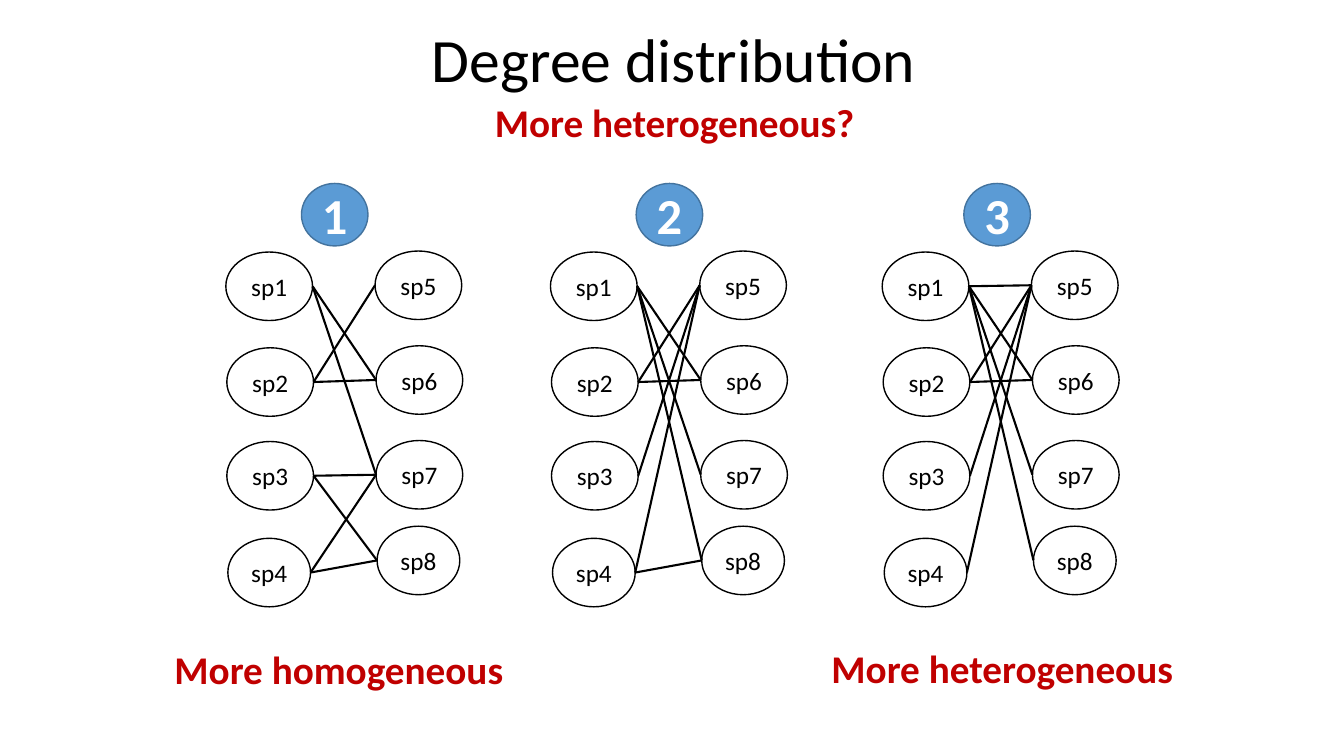
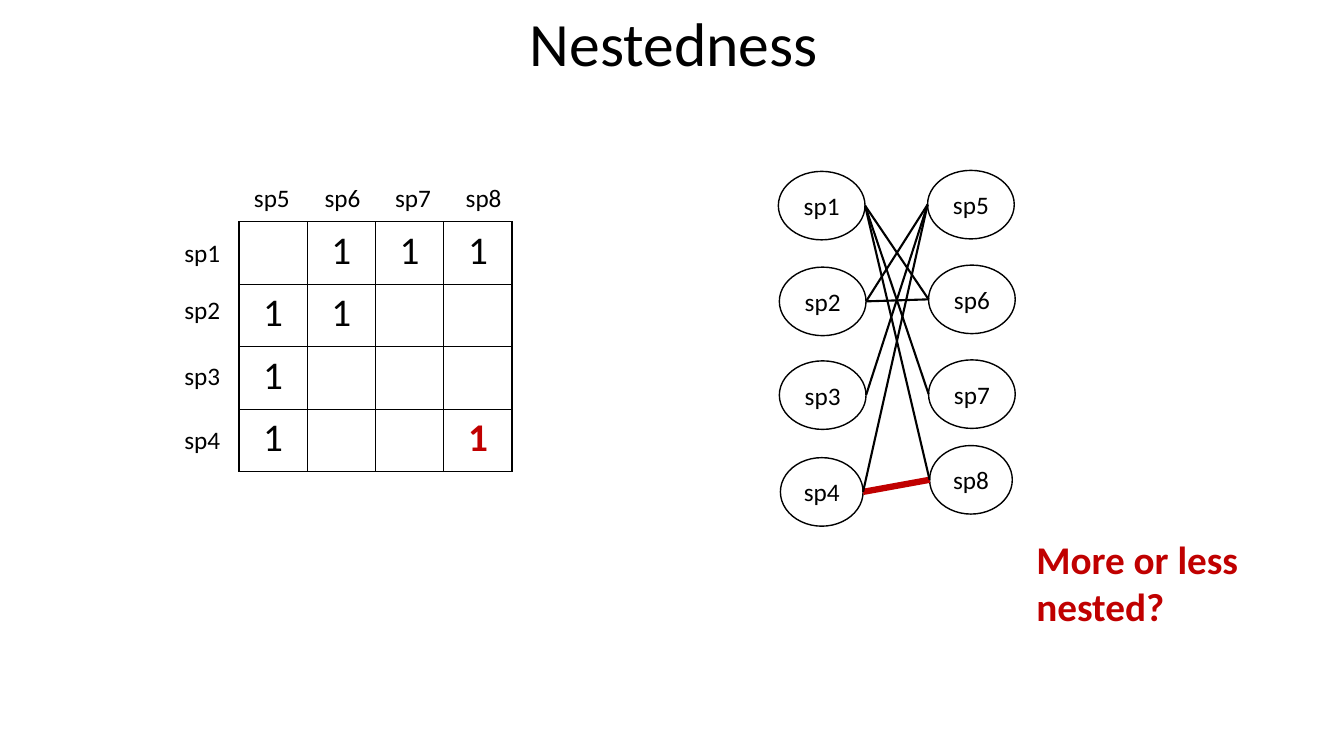
import pptx
import pptx.dml.color
import pptx.enum.shapes
import pptx.enum.text
import pptx.oxml
import pptx.oxml.ns
import pptx.oxml.xmlchemy
import pptx.util
from pptx.util import Inches

FONT = "Calibri"
BLACK, WHITE, RED = "000000", "FFFFFF", "C00000"
BLUE, DARK_BLUE = "5B9BD5", "43739E"
CENTER = pptx.enum.text.PP_ALIGN.CENTER
LEFT = pptx.enum.text.PP_ALIGN.LEFT
MIDDLE = pptx.enum.text.MSO_ANCHOR.MIDDLE
TOP = pptx.enum.text.MSO_ANCHOR.TOP

NODE_HEIGHT = 0.68
NODES = {
    1: (0, 0.01, 0.86),
    2: (0.01, 0.96, 0.86),
    3: (0.01, 1.89, 0.86),
    4: (0.02, 2.85, 0.82),
    5: (1.48, 0, 0.86),
    6: (1.49, 0.94, 0.86),
    7: (1.49, 1.88, 0.86),
    8: (1.5, 2.73, 0.82),
}
HOMOGENEOUS = [(4, 8), (3, 8), (2, 5), (1, 6), (3, 7), (4, 7), (1, 7), (2, 6)]
NESTED = [(1, 8), (2, 5), (1, 6), (3, 5), (4, 5), (1, 7), (2, 6)]
EXTRA_LINK = (4, 8)


def color(hex_string):
    """Turn a hex string into a colour."""
    return pptx.dml.color.RGBColor.from_string(hex_string)


def write(text_frame, text, size, ink=BLACK, bold=False, align=CENTER):
    """Put one formatted paragraph into a text frame and return it."""
    text_frame.text = text
    paragraph = text_frame.paragraphs[0]
    paragraph.alignment = align
    font = paragraph.runs[0].font
    font.name, font.size, font.bold = FONT, pptx.util.Pt(size), bold
    font.color.rgb = color(ink)
    return paragraph


def add_text(slide, box, text, size, ink=BLACK, bold=False, align=CENTER, anchor=TOP):
    """Add a wrapped text box and return its paragraph."""
    text_frame = slide.shapes.add_textbox(*map(Inches, box)).text_frame
    text_frame.word_wrap = True
    text_frame.vertical_anchor = anchor
    return write(text_frame, text, size, ink, bold, align)


def add_title(slide, text, top):
    """Add the slide title."""
    paragraph = add_text(slide, (4.1, top, 5.17, 0.93), text, 44, anchor=MIDDLE)
    paragraph.line_spacing = 0.9


def add_callout(slide, box, text, align=CENTER):
    """Add a bold red remark."""
    add_text(slide, box, text, 28, RED, True, align)


def add_ellipse(shapes, box, text, size, fill, outline, ink, bold=False):
    """Add an ellipse with centred text."""
    shape = shapes.add_shape(pptx.enum.shapes.MSO_SHAPE.OVAL, *map(Inches, box))
    shape.shadow.inherit = False
    shape.fill.solid()
    shape.fill.fore_color.rgb = color(fill)
    shape.line.color.rgb = color(outline)
    shape.line.width = pptx.util.Pt(1)
    text_frame = shape.text_frame
    text_frame.margin_left = text_frame.margin_right = 0
    text_frame.margin_top = text_frame.margin_bottom = 0
    text_frame.vertical_anchor = MIDDLE
    write(text_frame, text, size, ink, bold)


def add_link(shapes, start, end, ink, width):
    """Add a straight line between two points."""
    connector = shapes.add_connector(
        pptx.enum.shapes.MSO_CONNECTOR.STRAIGHT, *map(Inches, start + end))
    connector.line.color.rgb = color(ink)
    connector.line.width = pptx.util.Pt(width)
    connector._element.spPr.append(
        pptx.oxml.xmlchemy.OxmlElement("a:effectLst"))


def add_network(slide, left, top, links, highlighted=None):
    """Add a grouped two-column species network at the given corner."""
    shapes = slide.shapes.add_group_shape().shapes
    for number, (x, y, width) in NODES.items():
        add_ellipse(shapes, (left + x, top + y, width, NODE_HEIGHT),
                    f"sp{number}", 18, WHITE, BLACK, BLACK)
    for link in links:
        (x1, y1, width), (x2, y2, _) = (NODES[number] for number in link)
        start = (left + x1 + width, top + y1 + NODE_HEIGHT / 2)
        end = (left + x2, top + y2 + NODE_HEIGHT / 2)
        ink, weight = (RED, 4.5) if link == highlighted else (BLACK, 1.5)
        add_link(shapes, start, end, ink, weight)


def add_borders(cell):
    """Draw a thin black line on every side of a table cell."""
    properties = cell._tc.get_or_add_tcPr()
    for side in ("lnL", "lnR", "lnT", "lnB"):
        properties.append(pptx.oxml.parse_xml(
            f'<a:{side} {pptx.oxml.ns.nsdecls("a")} w="12700"><a:solidFill>'
            f'<a:srgbClr val="{BLACK}"/></a:solidFill></a:{side}>'))


def add_matrix(slide, left, top, links, highlighted):
    """Add the interaction matrix of a network with its row and column labels."""
    width, height = 2.71, 2.48
    table = slide.shapes.add_table(
        4, 4, *map(Inches, (left, top, width, height))).table
    table.first_row = table.horz_banding = False
    for row in range(4):
        table.rows[row].height = Inches(height / 4)
        table.columns[row].width = Inches(width / 4)
        for column in range(4):
            cell = table.cell(row, column)
            add_borders(cell)
            cell.fill.background()
            link = (row + 1, column + 5)
            if link in links:
                marked = link == highlighted
                write(cell.text_frame, "1", 28, RED if marked else BLACK, marked)
    for row, offset in enumerate((0.11, 0.67, 1.33, 1.96)):
        add_text(slide, (left - 0.64, top + offset, 0.59, 0.4),
                 f"sp{row + 1}", 18, align=LEFT)
    for column in range(4):
        add_text(slide, (left + 0.05 + 0.7 * column, top - 0.44, 0.59, 0.4),
                 f"sp{column + 5}", 18, align=LEFT)


def build_degree_slide(slide):
    """Compare the degree distribution of three networks."""
    networks = [
        (2.24, 2.99, HOMOGENEOUS),
        (5.46, 6.31, [EXTRA_LINK] + NESTED),
        (8.75, 9.56, [(1, 5)] + NESTED),
    ]
    for number, (left, badge_left, links) in enumerate(networks, 1):
        add_network(slide, left, 2.49, links)
        add_ellipse(slide.shapes, (badge_left, 1.82, 0.66, 0.62),
                    str(number), 36, BLUE, DARK_BLUE, WHITE, True)
    add_title(slide, "Degree distribution", 0.16)
    add_callout(slide, (3.43, 0.93, 6.52, 0.57), "More heterogeneous?")
    add_callout(slide, (1.38, 6.35, 3.96, 0.57), "More homogeneous")
    add_callout(slide, (7.96, 6.34, 3.96, 0.57), "More heterogeneous")


def build_nestedness_slide(slide):
    """Show one network as a matrix and as a graph."""
    links = [EXTRA_LINK] + NESTED
    add_matrix(slide, 2.37, 2.2, links, EXTRA_LINK)
    add_network(slide, 7.72, 1.69, links, EXTRA_LINK)
    add_title(slide, "Nestedness", 0)
    add_callout(slide, (10.18, 5.26, 2.61, 1.04), "More or less nested?", LEFT)


def main():
    """Build and save the presentation."""
    presentation = pptx.Presentation()
    presentation.slide_width = Inches(13.33)
    presentation.slide_height = Inches(7.5)
    for build in (build_degree_slide, build_nestedness_slide):
        build(presentation.slides.add_slide(presentation.slide_layouts[6]))
    presentation.save("out.pptx")


if __name__ == "__main__":
    main()
